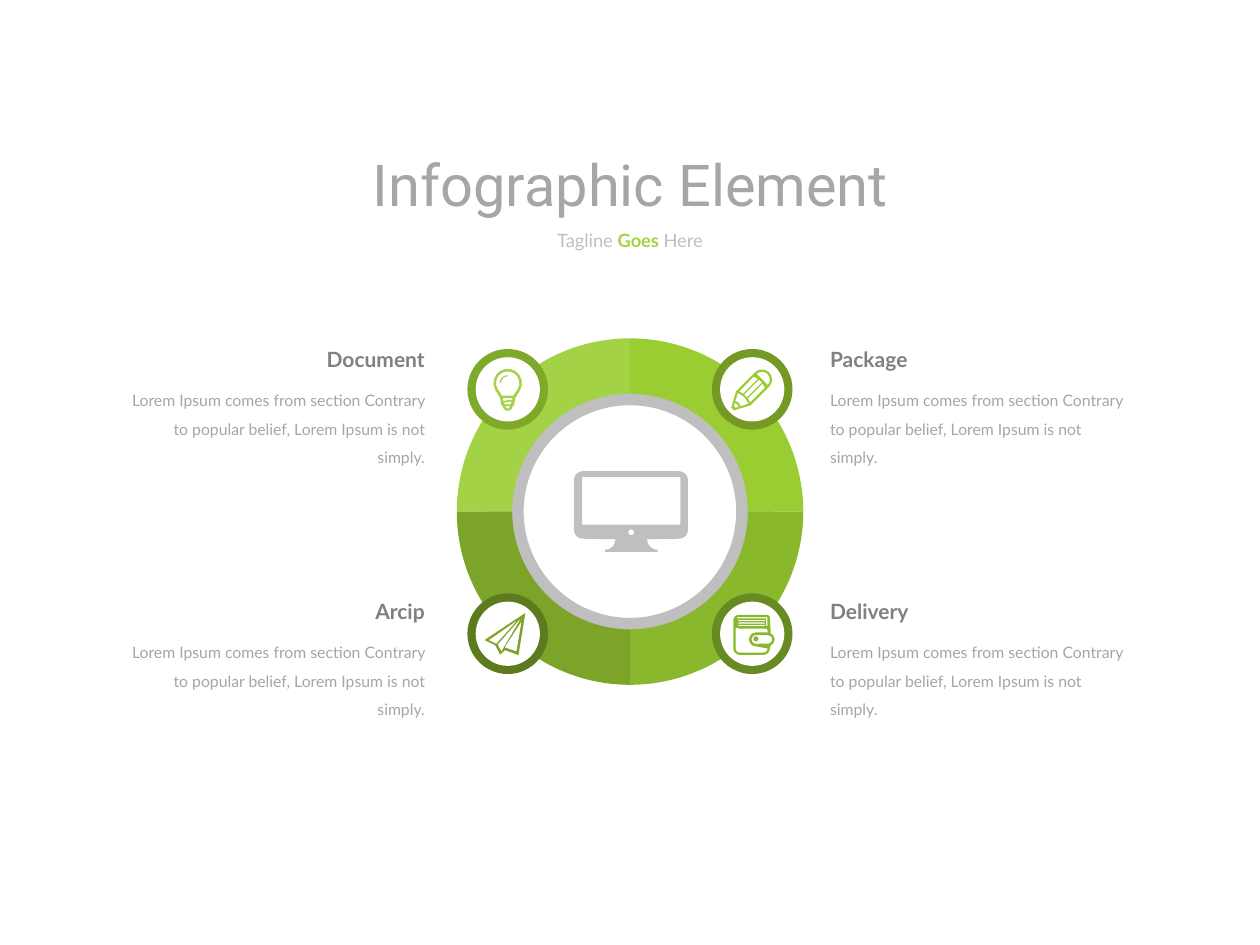
from math import cos, radians, sin

from pptx import Presentation
from pptx.dml.color import RGBColor
from pptx.enum.shapes import MSO_SHAPE
from pptx.enum.text import MSO_ANCHOR, MSO_AUTO_SIZE, PP_ALIGN
from pptx.util import Inches, Pt

CENTER = (5, 4.06)
BADGE_OFFSET = 0.97
BODY = ("Lorem Ipsum comes from section Contrary to popular belief, "
        "Lorem Ipsum is not simply.")

# heading, heading width, side (-1 left, 1 right), row (-1 top, 1 bottom),
# start angle of the quarter, quarter colour, badge colour
TOPICS = [
    ("Document", 0.99, -1, -1, 180, "A4D246", "7FA929"),
    ("Package", 0.83, 1, -1, 270, "9ACD32", "749A25"),
    ("Delivery", 0.83, 1, 1, 0, "8AB82D", "678A22"),
    ("Arcip", 0.6, -1, 1, 90, "7BA428", "5C7B1E"),
]


def rgb(color):
    return RGBColor.from_string(color)


# Outlines: lists of points in hundredths of an inch, angles clockwise from east
def arc(cx, cy, r, start, end):
    steps = max(3, round(abs(end - start) / 22))
    angles = [radians(start + (end - start) * i / steps) for i in range(steps + 1)]
    return [(cx + r * cos(a), cy + r * sin(a)) for a in angles]


def box(left, top, right, bottom):
    return [(left, top), (right, top), (right, bottom), (left, bottom)]


def turn(points, degrees):
    c, s = cos(radians(degrees)), sin(radians(degrees))
    return [(x * c - y * s, x * s + y * c) for x, y in points]


def bulb():
    return [
        arc(0, -5, 11.3, 150, 390) + [(6, 7), (5, 13)]
        + arc(0, 13, 4, 0, 180) + [(-5, 13), (-6, 7)],
        arc(0, -5, 9.3, 150, 390) + [(4.5, 5), (-4.5, 5)],
        [(-4, 7), (4, 7), (3.6, 8.2), (-3.6, 9.2)],
        [(-3, 10.5), (3, 9.5), (2.5, 12), (-2.5, 12)],
        [(-2, 13.3), (2, 13.3), (1, 15), (-1, 15)],
    ]


def bulb_shine():
    return [arc(0, -5, 6.3, 180, 270) + arc(0, -5, 5.3, 270, 180)]


def pencil():
    edge = [(-8.5, -6.2), (8, -6.2), (9, -2.6), (-7.5, -2.6)]
    outlines = [
        [(-22, -1.5), (-10, -8)] + arc(11, 0, 8, -90, 90) + [(-10, 8), (-22, 1.5)],
        edge,
        box(-7.5, -1.6, 9.2, 1.6),
        [(x, -y) for x, y in edge],
        [(-16, -3), (-10, -6), (-8.8, 0), (-10, 6), (-16, 3), (-15, 0)],
        [(-19.8, -1), (-17.5, -2.2), (-16.7, 0), (-17.5, 2.2), (-19.8, 1)],
        arc(11, 0, 6.2, -90, 90) + [(11.2, 2), (11.2, -2)],
    ]
    return [turn(outline, -45) for outline in outlines]


def wallet():
    slots = [box(-11, y, 10, y + 1) for y in (-11, -9, -7)]
    return [
        arc(-10.5, -10.5, 4.5, 180, 270) + arc(11.5, -12.5, 2.5, 270, 360)
        + arc(12.5, 4.5, 5.2, -65, 65) + arc(9, 11.7, 5, 0, 90)
        + arc(-10, 11.7, 5, 90, 180),
        [(-13.2, -5), (-10, -4), (11, -4), (12.3, -3), (12.3, -1)]
        + arc(3, 4.5, 5.5, 270, 90) + arc(9, 11.7, 3.2, 0, 90)
        + arc(-10, 11.7, 3.2, 90, 180),
        arc(3, 4.5, 3.5, 90, 270) + arc(12.5, 4.5, 3.3, -90, 90),
        [(-12, -13.2), (12, -13.2), (12, -6), (11, -6), (11, -12.2), (-12, -12.2)],
    ] + slots


def paper_plane():
    return [
        [(14, -16.5), (-18.5, 5), (-10, 9), (-6, 16.5), (-2, 13), (8.5, 17)],
        [(-15, 5), (8, -11), (-9, 8)],
        [(-8, 8.5), (11, -13), (-5, 14)],
        [(7, 14), (-2, 11), (-2, 10), (11, -10)],
    ]


def monitor():
    return [
        arc(-37.5, -25, 7, 180, 270) + arc(39, -25, 7, 270, 360)
        + arc(39, 14.6, 7, 0, 90) + arc(22, 22, 8.5, 180, 90)
        + [(22, 32), (-20, 32)] + arc(-20, 22, 8.5, 90, 0)
        + arc(-37.5, 14.6, 7, 90, 180),
        box(-38, -27.5, 40, 10.5),
        arc(1, 16.5, 2.3, 0, 360),
    ]


def style(sp, color):
    sp.shadow.inherit = False
    sp.fill.solid()
    sp.fill.fore_color.rgb = rgb(color)
    sp.line.fill.background()


def add_outlines(s, center, outlines, color):
    cx, cy = center
    paths = [[(Inches(cx + x / 100), Inches(cy + y / 100)) for x, y in outline]
             for outline in outlines]
    builder = s.shapes.build_freeform(*paths[0][0])
    builder.add_line_segments(paths[0][1:])
    for path in paths[1:]:
        builder.move_to(*path[0])
        builder.add_line_segments(path[1:])
    style(builder.convert_to_shape(), color)


def add_round(s, center, size, color, kind=MSO_SHAPE.OVAL, adjustments=()):
    left, top = (Inches(c - size / 2) for c in center)
    sp = s.shapes.add_shape(kind, left, top, Inches(size), Inches(size))
    for i, value in enumerate(adjustments):
        sp.adjustments[i] = value
    style(sp, color)


def fill_text(sp, runs, size, font, align, wrap=False, spacing=None):
    """Each run is (text, colour, bold)."""
    tf = sp.text_frame
    tf.word_wrap = wrap
    tf.auto_size = MSO_AUTO_SIZE.SHAPE_TO_FIT_TEXT
    tf.vertical_anchor = MSO_ANCHOR.TOP
    p = tf.paragraphs[0]
    p.alignment = align
    p.line_spacing = spacing
    for text, color, bold in runs:
        r = p.add_run()
        r.text = text
        r.font.size, r.font.name, r.font.bold = Pt(size), font, bold
        r.font.color.rgb = rgb(color)


def add_text(s, left, top, width, height, *args, **kwargs):
    sp = s.shapes.add_textbox(Inches(left), Inches(top), Inches(width), Inches(height))
    fill_text(sp, *args, **kwargs)


def add_topic(s, heading, width, side, row):
    align = PP_ALIGN.RIGHT if side < 0 else PP_ALIGN.LEFT
    top = 2.7 if row < 0 else 4.7
    for w, dy, h, run, size, wrap, spacing in (
            (2.57, 0.28, 0.78, (BODY, "A6A6A6", False), 9, True, 1.5),
            (width, 0, 0.3, (heading, "808080", True), 12, False, None)):
        left = 3.47 - w if side < 0 else 6.49
        add_text(s, left, top + dy, w, h, [run], size, "Lato", align, wrap, spacing)


def main():
    prs = Presentation()
    prs.slide_width, prs.slide_height = Inches(10), Inches(7.5)
    s = prs.slides.add_slide(prs.slide_layouts[5])

    # Title and tagline
    title = s.shapes.title
    title.left, title.top = Inches(2.84), Inches(1.13)
    title.width, title.height = Inches(4.33), Inches(0.66)
    fill_text(title, [("Infographic Element", "A6A6A6", False)], 33, "Roboto",
              PP_ALIGN.CENTER)
    add_text(s, 4.3, 1.77, 1.4, 0.28,
             [("Tagline ", "BFBFBF", False), ("Goes ", "A4D246", True),
              ("Here", "BFBFBF", False)], 10.5, "Lato", PP_ALIGN.CENTER)

    # Grey ring under the four quarters; block arc angles count 0.6 per degree
    add_round(s, CENTER, 2.28, "BFBFBF", MSO_SHAPE.DONUT, [0.13])
    for _, _, _, _, start, color, _ in TOPICS:
        end = (start + 90) % 360
        add_round(s, CENTER, 2.75, color, MSO_SHAPE.BLOCK_ARC,
                  [start * 0.6, end * 0.6, 0.16])
    add_outlines(s, CENTER, monitor(), "BFBFBF")

    # Badges with icons, and their texts
    icons = (bulb, pencil, wallet, paper_plane)
    for icon, (heading, width, side, row, _, color, rim) in zip(icons, TOPICS):
        badge = (CENTER[0] + side * BADGE_OFFSET, CENTER[1] + row * BADGE_OFFSET)
        add_round(s, badge, 0.64, rim)
        add_round(s, badge, 0.51, "FFFFFF")
        add_outlines(s, badge, icon(), color)
        if icon is bulb:
            add_outlines(s, badge, bulb_shine(), color)
        elif icon is wallet:
            add_round(s, (6, 5.07), 0.04, color)
        add_topic(s, heading, width, side, row)

    prs.save("out.pptx")


if __name__ == "__main__":
    main()
